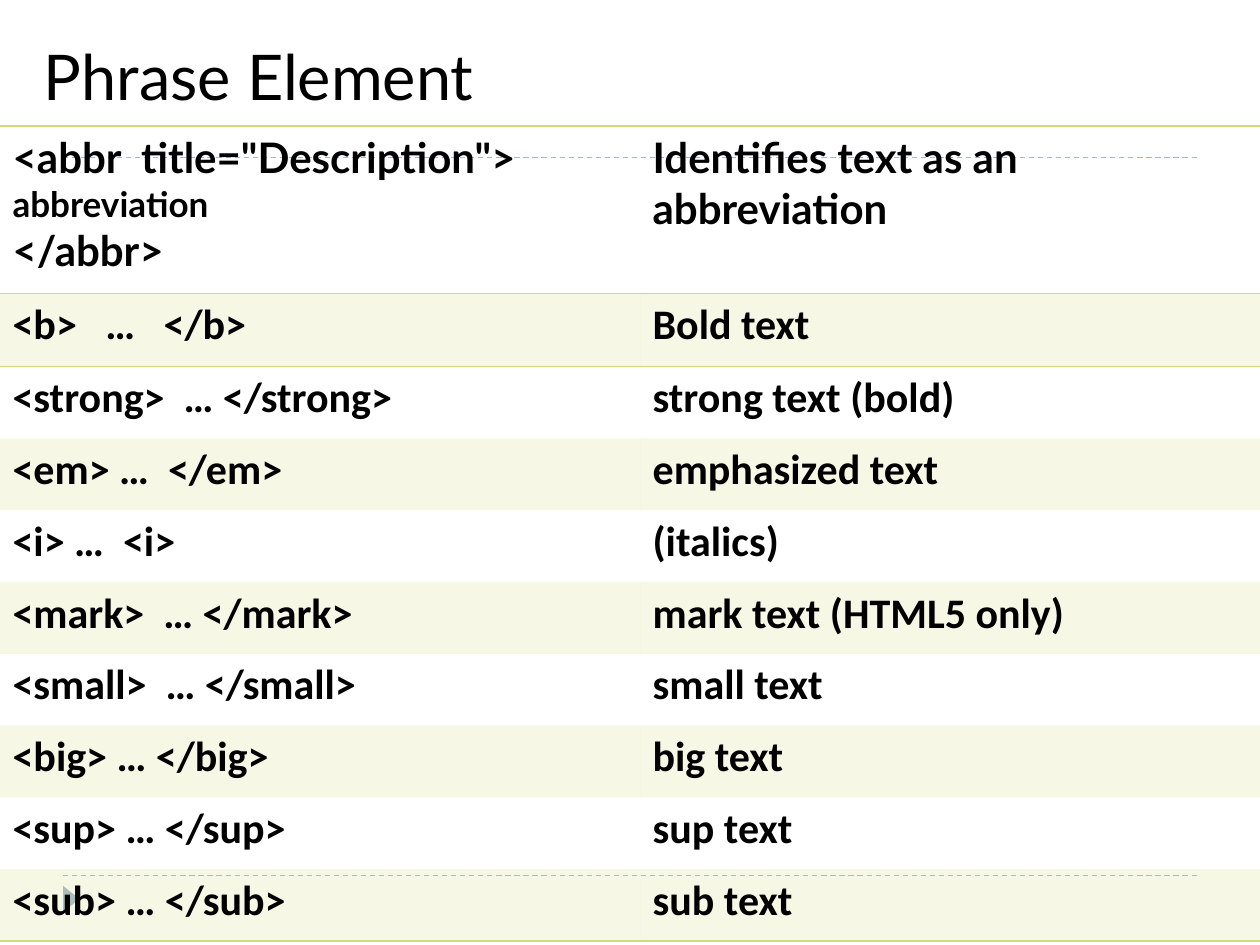
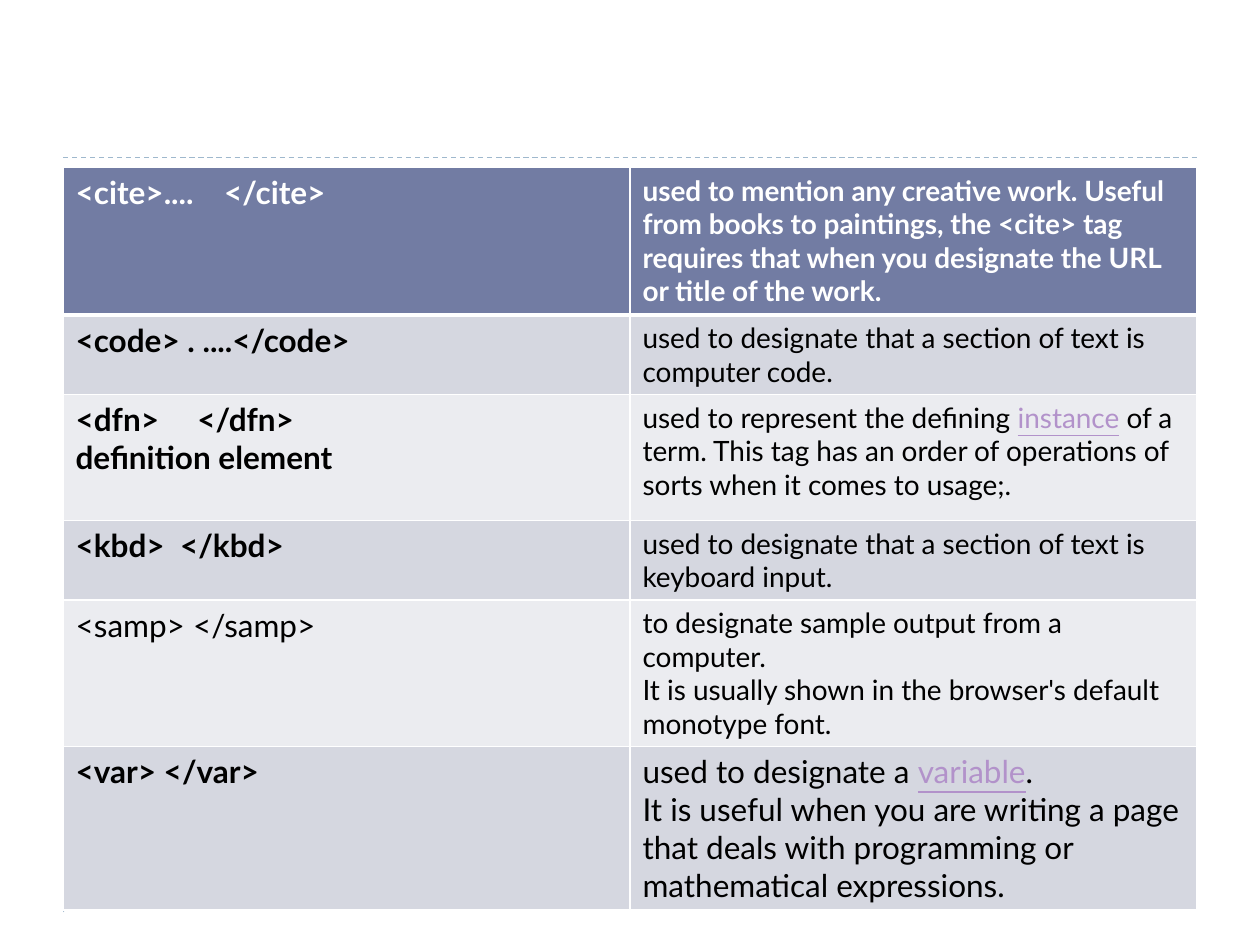
from dataclasses import dataclass, field
from typing import NamedTuple

from lxml import etree
from pptx import Presentation
from pptx.dml.color import RGBColor
from pptx.enum.dml import MSO_LINE_DASH_STYLE
from pptx.enum.shapes import MSO_CONNECTOR_TYPE, MSO_SHAPE
from pptx.enum.text import MSO_AUTO_SIZE
from pptx.oxml.ns import qn
from pptx.util import Inches, Pt

DASH = MSO_LINE_DASH_STYLE.DASH
STRAIGHT = MSO_CONNECTOR_TYPE.STRAIGHT
TRIANGLE = MSO_SHAPE.ISOSCELES_TRIANGLE
FIT_SHAPE = MSO_AUTO_SIZE.SHAPE_TO_FIT_TEXT

COLORS = {
    "text": "000000",
    "white": "FFFFFF",
    "rule": "9FB8CD",
    "green": "D2DA7A",
    "header": "727CA3",
    "band_dark": "D5D7E0",
    "band_light": "EBECF0",
    "link": "B292CA",
}
NO_STYLE_TABLE = "{2D5ABB26-0587-4C30-8999-92F81FD0307C}"
BASE_FORMAT = {"name": "Lato", "size": 18, "bold": False, "underline": False, "color": "text"}
LINK_FORMAT = {"color": "link", "underline": True}


class Piece(NamedTuple):
    """A run of text with the format values that differ from its cell."""
    text: str
    format: dict = {}


class Border(NamedTuple):
    color: str
    width: float


@dataclass
class CellContent:
    """Each paragraph is a list of pieces."""
    paragraphs: list[list[Piece]]
    format: dict = field(default_factory=dict)


@dataclass
class TableRow:
    height: float
    cells: list[CellContent]
    fill: str | None = None
    opacity: int = 100
    borders: dict[str, Border] = field(default_factory=dict)


def lines(text: str, **cell_format) -> CellContent:
    """Plain cell content, one paragraph for each line."""
    return CellContent([[Piece(line)] for line in text.split("\n")], cell_format)


# Phrase elements: tag and meaning
PHRASE_ROWS = [
    ("<b>   …   </b>", "Bold text"),
    ("<strong>  … </strong>", "strong text (bold)"),
    ("<em> …  </em>", "emphasized text"),
    ("<i> …  <i>", "(italics)"),
    ("<mark>  … </mark>", "mark text (HTML5 only)"),
    ("<small>  … </small>", "small text"),
    ("<big> … </big>", "big text"),
    ("<sup> … </sup>", "sup text"),
    ("<sub> … </sub>", "sub text"),
]
ABBREVIATION = CellContent(
    [
        [Piece('<abbr  title="Description">')],
        [Piece("abbreviation", {"size": 20})],
        [Piece("</abbr>")],
    ],
    {"size": 24, "bold": True},
)

# Computer and citation elements: row height, tag and use
USAGE_ROWS = [
    (1.17, lines("<cite>....    </cite>", bold=True, color="white"),
     lines("used to mention any creative work. Useful from books to paintings, the <cite> tag "
           "requires that when you designate the URL or title of the work.",
           size=16, bold=True, color="white")),
    (0.63, lines("<code> . ....</code>", bold=True),
     lines("used to designate that a section of text is computer code.", size=16)),
    (1.0, lines("<dfn>     </dfn>\ndefinition element", bold=True),
     CellContent([[
         Piece("used to represent the defining "),
         Piece("instance", LINK_FORMAT),
         Piece(" of a term. This tag has an order of operations of sorts "
               "when it comes to usage;."),
     ]], {"size": 16})),
    (0.63, lines("<kbd>  </kbd>", bold=True),
     lines("used to designate that a section of text is keyboard input.", size=16)),
    (0.9, lines("<samp> </samp>"),
     lines("to designate sample output from a computer.\n"
           "It is usually shown in the browser's default monotype font.", size=16)),
    (1.3, lines("<var> </var>", bold=True),
     CellContent([
         [Piece("used to designate a "), Piece("variable", LINK_FORMAT), Piece(".")],
         [Piece("It is useful when you are writing a page that deals with programming "
                "or mathematical expressions.")],
     ])),
]


def rgb(color: str) -> RGBColor:
    return RGBColor.from_string(COLORS[color])


def apply_format(font, format_values: dict) -> None:
    for name, value in format_values.items():
        if name == "color":
            font.color.rgb = rgb(value)
        else:
            setattr(font, name, Pt(value) if name == "size" else value)


def write_text(text_frame, content: CellContent) -> None:
    for index, pieces in enumerate(content.paragraphs):
        paragraph = text_frame.add_paragraph() if index else text_frame.paragraphs[0]
        for piece in pieces:
            run = paragraph.add_run()
            run.text = piece.text
            apply_format(run.font, BASE_FORMAT | content.format | piece.format)


def set_alpha(solid_fill_parent, opacity: int) -> None:
    color = solid_fill_parent.find(f"{qn('a:solidFill')}/{qn('a:srgbClr')}")
    etree.SubElement(color, qn("a:alpha"), val=str(opacity * 1000))


def draw_borders(cell, borders: dict[str, Border]) -> None:
    properties = cell._tc.get_or_add_tcPr()
    for side in "LRTB":
        if side in borders:
            border = borders[side]
            line = etree.SubElement(properties, qn(f"a:ln{side}"), w=str(Pt(border.width)))
            fill = etree.SubElement(line, qn("a:solidFill"))
            etree.SubElement(fill, qn("a:srgbClr"), val=COLORS[border.color])


def draw_table(slide, left: float, top: float, widths: list[float], rows: list[TableRow]) -> None:
    frame = slide.shapes.add_table(
        len(rows), len(widths), Inches(left), Inches(top),
        Inches(sum(widths)), Inches(sum(row.height for row in rows)))
    table = frame.table
    table.first_row = table.horz_banding = False
    table._tbl.tblPr.find(qn("a:tableStyleId")).text = NO_STYLE_TABLE
    for column, width in zip(table.columns, widths):
        column.width = Inches(width)
    for table_row, row in zip(table.rows, rows):
        table_row.height = Inches(row.height)
        for cell, content in zip(table_row.cells, row.cells):
            write_text(cell.text_frame, content)
            draw_borders(cell, row.borders)
            if row.fill is None:
                cell.fill.background()
                continue
            cell.fill.solid()
            cell.fill.fore_color.rgb = rgb(row.fill)
            if row.opacity < 100:
                set_alpha(cell._tc.tcPr, row.opacity)


def add_base_slide(presentation):
    """Blank slide with the shared dashed rules and footer marker."""
    slide = presentation.slides.add_slide(presentation.slide_layouts[6])
    for height in (6.95, 1.25):
        rule = slide.shapes.add_connector(
            STRAIGHT, Inches(0.5), Inches(height), Inches(9.5), Inches(height))
        rule.line.color.rgb = rgb("rule")
        rule.line.width = Pt(0.75)
        rule.line.dash_style = DASH
        etree.SubElement(rule._element.spPr, qn("a:effectLst"))
    marker = slide.shapes.add_shape(
        TRIANGLE, Inches(0.46), Inches(7.07), Inches(0.21), Inches(0.13))
    marker.rotation = 90
    marker.shadow.inherit = False
    marker.fill.solid()
    marker.fill.fore_color.rgb = rgb("rule")
    marker.line.fill.background()
    return slide


def draw_title(slide, text: str) -> None:
    box = slide.shapes.add_textbox(Inches(0.25), Inches(0.25), Inches(7.5), Inches(0.71))
    box.text_frame.word_wrap = True
    box.text_frame.auto_size = FIT_SHAPE
    write_text(box.text_frame, lines(text, size=36))


def build_phrase_slide(presentation) -> None:
    slide = add_base_slide(presentation)
    edge = Border("green", 1)
    meaning = lines("Identifies text as an abbreviation", size=24, bold=True)
    rows = [TableRow(1.33, [ABBREVIATION, meaning], borders={"T": edge, "B": edge})]
    for index, texts in enumerate(PHRASE_ROWS):
        rows.append(TableRow(
            0.57 if index else 0.58,
            [lines(text, name="Calibri", size=24, bold=True) for text in texts],
            fill=None if index % 2 else "green",
            opacity=20))
    rows[1].borders = {"T": edge}
    rows[-1].borders = {"B": edge}
    draw_table(slide, 0, 1, [5.08, 4.92], rows)
    draw_title(slide, "Phrase Element")


def build_usage_slide(presentation) -> None:
    slide = add_base_slide(presentation)
    thin, thick = Border("white", 1), Border("white", 3)
    rows = []
    for index, (height, tag, use) in enumerate(USAGE_ROWS):
        band = "band_dark" if index % 2 else "band_light"
        borders = dict.fromkeys("LRTB", thin)
        if index == 0:
            borders["B"] = thick
        elif index == 1:
            borders["T"] = thick
        rows.append(TableRow(height, [tag, use], band if index else "header", borders=borders))
    draw_table(slide, 0.5, 1.33, [4.5, 4.5], rows)


def main() -> None:
    presentation = Presentation()
    presentation.slide_width = Inches(10)
    presentation.slide_height = Inches(7.5)
    build_phrase_slide(presentation)
    build_usage_slide(presentation)
    presentation.save("out.pptx")


if __name__ == "__main__":
    main()
